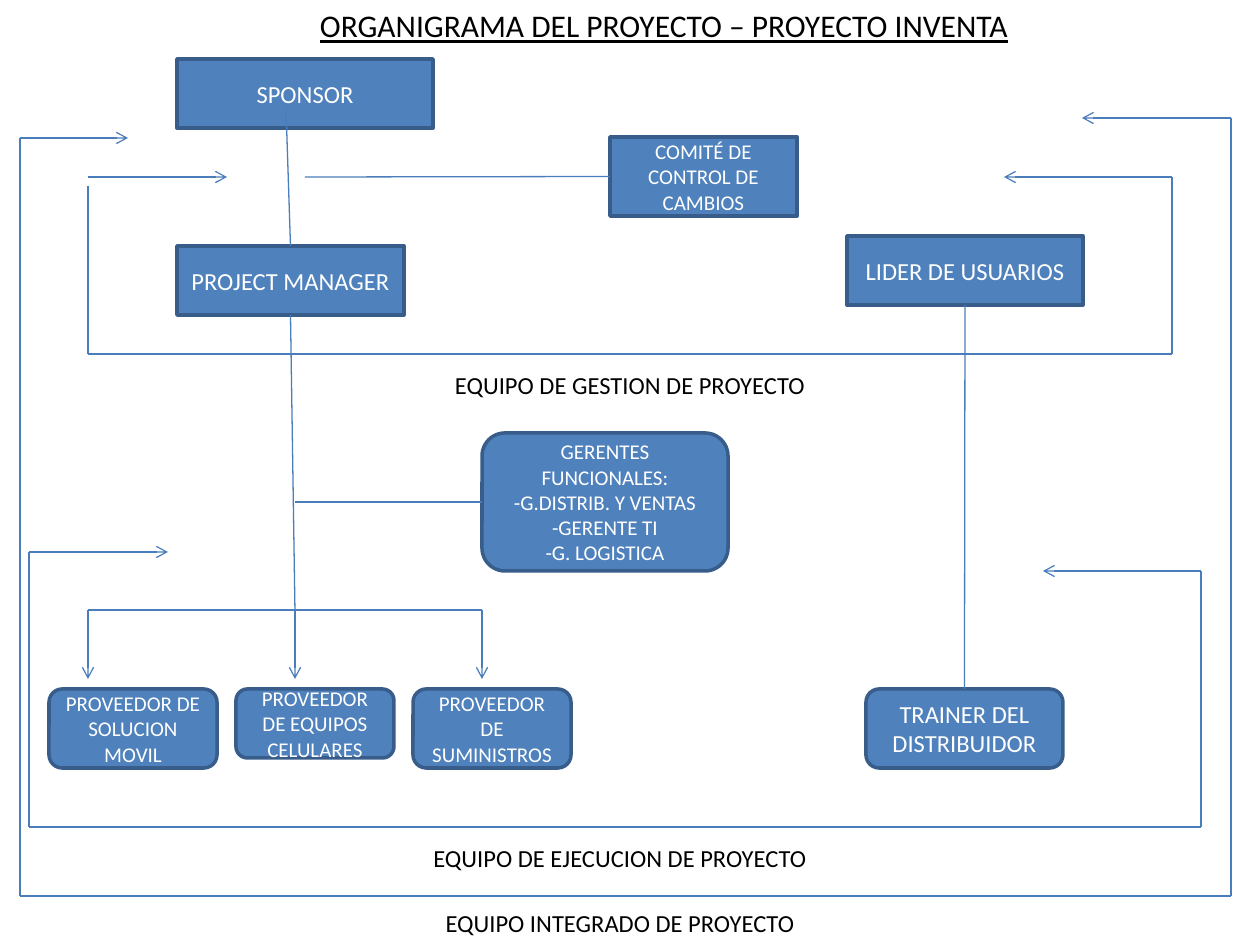
from lxml import etree
from pptx import Presentation
from pptx.dml.color import RGBColor
from pptx.enum.shapes import MSO_CONNECTOR, MSO_SHAPE
from pptx.enum.text import MSO_ANCHOR, MSO_AUTO_SIZE, PP_ALIGN
from pptx.oxml.ns import qn
from pptx.util import Emu, Pt

RECT, ROUNDED = MSO_SHAPE.RECTANGLE, MSO_SHAPE.ROUNDED_RECTANGLE
STRAIGHT = MSO_CONNECTOR.STRAIGHT
CENTER = PP_ALIGN.CENTER
TOP, MIDDLE = MSO_ANCHOR.TOP, MSO_ANCHOR.MIDDLE
NO_AUTOFIT = MSO_AUTO_SIZE.NONE
PX = 914400 / 126
TOP_SIDE, LEFT_SIDE, BOTTOM_SIDE = 0, 1, 2

color = RGBColor.from_string


def write_text(shape, text, size, hex_color, anchor):
    frame = shape.text_frame
    frame.word_wrap = True
    frame.auto_size = NO_AUTOFIT
    frame.vertical_anchor = anchor
    frame.text = text
    for para in frame.paragraphs:
        para.alignment = CENTER
        for span in para.runs:
            span.font.name = "Calibri"
            span.font.size = Pt(size)
            span.font.color.rgb = color(hex_color)


def add_line(start, end, arrow=False):
    points = [Emu(round(value * PX)) for value in (*start, *end)]
    line = page.shapes.add_connector(STRAIGHT, *points)
    line.line.color.rgb = color("4A7EBB")
    line.line.width = Pt(0.75)
    if arrow:
        etree.SubElement(line.line._get_or_add_ln(), qn("a:tailEnd"), type="arrow")
    etree.SubElement(line._element.spPr, qn("a:effectLst"))
    return line


deck = Presentation()
deck.slide_width, deck.slide_height = Emu(round(1260 * PX)), Emu(round(945 * PX))
page = deck.slides.add_slide(deck.slide_layouts[5])

title = page.shapes.title
title.left, title.top, title.width, title.height = [
    Emu(round(value * PX)) for value in (157, 0, 1014, 50)]
write_text(title, "ORGANIGRAMA DEL PROYECTO – PROYECTO INVENTA", 18, "000000", TOP)
title.text_frame.paragraphs[0].runs[0].font.underline = True

# Roles: name, preset, left, top, width, height, text size, text
roles = [
    ("sponsor", RECT, 177, 59, 256, 69, 14, "SPONSOR"),
    ("manager", RECT, 177, 246, 227, 69, 14, "PROJECT MANAGER"),
    ("committee", RECT, 610, 137, 187, 79, 12, "COMITÉ DE CONTROL DE CAMBIOS"),
    ("user lead", RECT, 847, 236, 236, 69, 14, "LIDER DE USUARIOS"),
    ("trainer", ROUNDED, 866, 689, 197, 79, 14, "TRAINER DEL DISTRIBUIDOR"),
    ("mobile", ROUNDED, 49, 689, 168, 79, 12, "PROVEEDOR DE SOLUCION MOVIL"),
    ("phones", ROUNDED, 236, 689, 158, 69, 12, "PROVEEDOR DE EQUIPOS CELULARES"),
    ("supplies", ROUNDED, 413, 689, 158, 79, 12, "PROVEEDOR DE SUMINISTROS"),
    ("functional", ROUNDED, 482, 433, 246, 138, 12,
     "GERENTES FUNCIONALES:\n-G.DISTRIB. Y VENTAS\n-GERENTE TI\n-G. LOGISTICA"),
]
boxes = {}
for name, preset, left, top, width, height, size, text in roles:
    box = page.shapes.add_shape(
        preset, *[Emu(round(value * PX)) for value in (left, top, width, height)])
    box.shadow.inherit = False
    box.fill.solid()
    box.fill.fore_color.rgb = color("4F81BD")
    box.line.color.rgb = color("385D8A")
    box.line.width = Pt(2)
    write_text(box, text, size, "FFFFFF", MIDDLE)
    boxes[name] = box

# Reporting lines
add_line((610, 177), (305, 177)).begin_connect(boxes["committee"], LEFT_SIDE)
add_line((290, 246), (286, 108)).begin_connect(boxes["manager"], TOP_SIDE)
add_line((290, 315), (295, 610)).begin_connect(boxes["manager"], BOTTOM_SIDE)
add_line((482, 502), (295, 502)).begin_connect(boxes["functional"], LEFT_SIDE)
user_line = add_line((965, 305), (965, 689))
user_line.begin_connect(boxes["user lead"], BOTTOM_SIDE)
user_line.end_connect(boxes["trainer"], TOP_SIDE)

# Branch to the three suppliers
add_line((88, 610), (482, 610))
for x in (88, 295, 482):
    add_line((x, 610), (x, 679), arrow=True)

# Team brackets: left, right, bottom, top of left side,
# left arrow y and tip, right arrow y and tip, caption left and top, caption
teams = [
    (88, 1172, 354, 186, 177, 227, 177, 1004, 315, 364, "EQUIPO DE GESTION DE PROYECTO"),
    (29, 1201, 827, 552, 552, 168, 571, 1043, 305, 837, "EQUIPO DE EJECUCION DE PROYECTO"),
    (20, 1231, 896, 138, 138, 128, 118, 1082, 305, 902, "EQUIPO INTEGRADO DE PROYECTO"),
]
for (left, right, bottom, left_top, left_y, left_tip, right_y, right_tip,
     caption_left, caption_top, text) in teams:
    add_line((left, bottom), (right, bottom))
    add_line((left, bottom), (left, left_top))
    add_line((right, bottom), (right, right_y))
    add_line((left, left_y), (left_tip, left_y), arrow=True)
    add_line((right, right_y), (right_tip, right_y), arrow=True)
    caption = page.shapes.add_textbox(
        *[Emu(round(value * PX)) for value in (caption_left, caption_top, 630, 43)])
    write_text(caption, text, 14, "000000", TOP)

deck.save("out.pptx")
